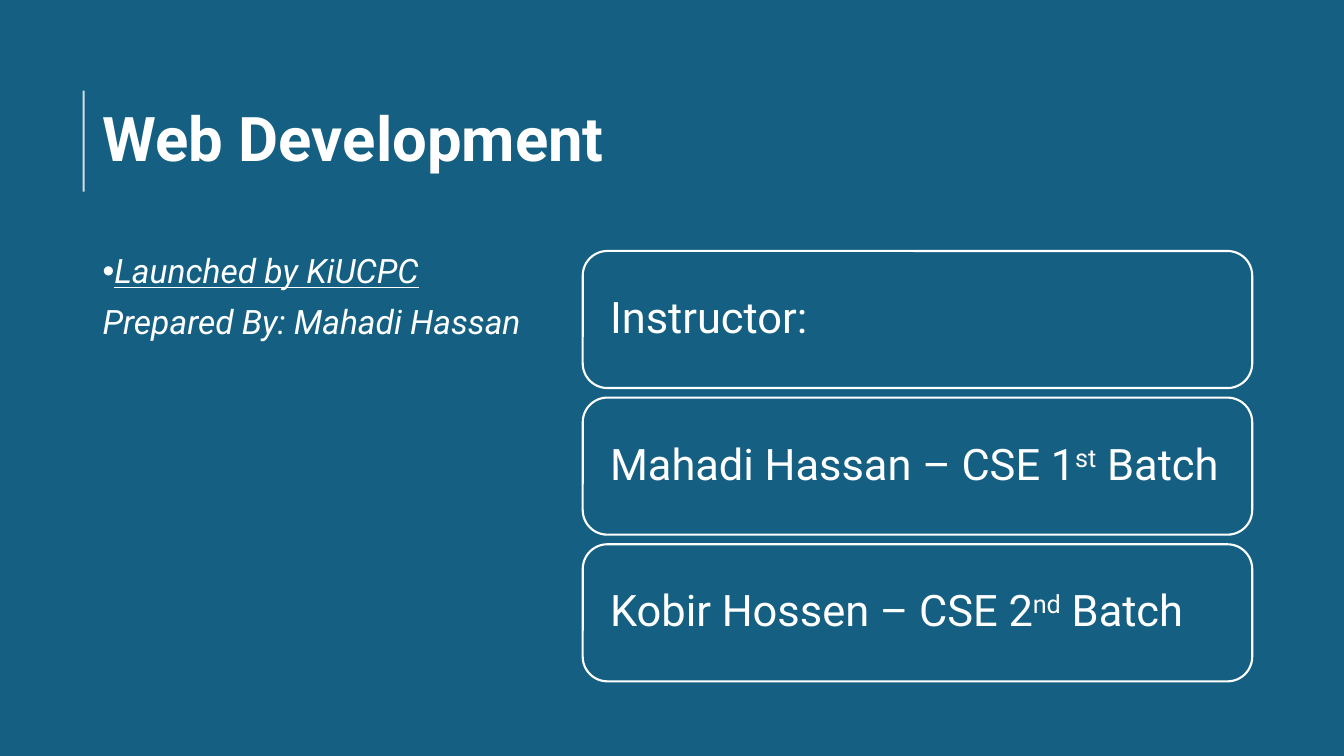
"""Build the Web Development title slide."""
from pptx import Presentation
from pptx.dml.color import RGBColor
from pptx.enum.shapes import MSO_CONNECTOR, MSO_SHAPE
from pptx.enum.text import MSO_ANCHOR, PP_ALIGN
from pptx.oxml.ns import qn
from pptx.util import Inches, Pt
from lxml import etree

TITLE = "Web Development"
NOTES = [("Launched by KiUCPC", True), ("Prepared By: Mahadi Hassan", False)]
CARDS = [
    ("Instructor:",),
    ("Mahadi Hassan – CSE 1", "st", " Batch"),
    ("Kobir Hossen – CSE 2", "nd", " Batch"),
]

NAVY = RGBColor(0x0E, 0x28, 0x41)
TEAL = RGBColor(0x15, 0x60, 0x82)
WHITE = RGBColor(0xFF, 0xFF, 0xFF)
RECT, ROUND = MSO_SHAPE.RECTANGLE, MSO_SHAPE.ROUNDED_RECTANGLE
STRAIGHT = MSO_CONNECTOR.STRAIGHT
TOP, MIDDLE = MSO_ANCHOR.TOP, MSO_ANCHOR.MIDDLE
LEFT = PP_ALIGN.LEFT

WIDE, HIGH = 13.33, 7.5
EDGE = 0.92
CARD_X, CARD_Y, CARD_W, CARD_H = 5.78, 2.49, 6.64, 1.36
PITCH = 1.455


def write(shape, paras, size, anchor=TOP, pad=(0.1, 0.05), before=0,
          bold=False, italic=False):
    """Fill a shape with paragraphs, each a tuple of runs; odd runs are raised."""
    frame = shape.text_frame
    frame.word_wrap = True
    frame.vertical_anchor = anchor
    frame.margin_left = frame.margin_right = Inches(pad[0])
    frame.margin_top = frame.margin_bottom = Inches(pad[1])
    for row, parts in enumerate(paras):
        para = frame.add_paragraph() if row else frame.paragraphs[0]
        para.alignment = LEFT
        para.line_spacing = 0.9
        para.space_before = Pt(before)
        for spot, text in enumerate(parts):
            run = para.add_run()
            run.text = text
            font = run.font
            font.name, font.size = "Roboto", Pt(size)
            font.bold, font.italic = bold, italic
            font.color.rgb = WHITE
            if spot % 2:
                font._element.set("baseline", "30000")
    return frame.paragraphs


def block(slide, kind, *box):
    """Add a teal shape without a shadow."""
    shape = slide.shapes.add_shape(kind, *map(Inches, box))
    shape.shadow.inherit = False
    shape.fill.solid()
    shape.fill.fore_color.rgb = TEAL
    shape.line.fill.background()
    return shape


def main():
    """Lay out the slide and save it."""
    deck = Presentation()
    deck.slide_width, deck.slide_height = Inches(WIDE), Inches(HIGH)
    slide = deck.slides.add_slide(deck.slide_layouts[6])
    slide.background.fill.solid()
    slide.background.fill.fore_color.rgb = NAVY
    block(slide, RECT, 0, 0, WIDE, HIGH)

    title = slide.shapes.add_textbox(*map(Inches, (EDGE, 0.68, 11.5, 1.45)))
    write(title, [(TITLE,)], 44, anchor=MIDDLE, bold=True)

    rule = slide.shapes.add_connector(
        STRAIGHT, *map(Inches, (0.83, 1.9, 0.83, 0.9)))
    rule.line.color.rgb = WHITE
    rule.line.width = Pt(1.5)
    props = rule._element.spPr
    tint = props.find(".//" + qn("a:srgbClr"))
    etree.SubElement(tint, qn("a:alpha"), val="80000")
    etree.SubElement(props, qn("a:effectLst"))

    notes = slide.shapes.add_textbox(*map(Inches, (EDGE, 2.48, 5.58, 4.28)))
    paras = write(notes, [(text,) for text, _ in NOTES], 24,
                  before=10, italic=True)
    for para, (_, marked) in zip(paras, NOTES):
        if marked:
            para.runs[0].font.underline = True
            form = para._p.get_or_add_pPr()
            form.set("marL", "0")
            form.set("indent", str(-Inches(0.25)))
            etree.SubElement(form, qn("a:buFont"), typeface="Arial")
            etree.SubElement(form, qn("a:buChar"), char="•")

    for row, parts in enumerate(CARDS):
        card = block(slide, ROUND, CARD_X, CARD_Y + row * PITCH, CARD_W, CARD_H)
        card.adjustments[0] = 0.18
        card.line.color.rgb = WHITE
        card.line.width = Pt(1.5)
        write(card, [parts], 31, anchor=MIDDLE, pad=(0.2, 0.2))

    deck.save("out.pptx")


if __name__ == "__main__":
    main()
